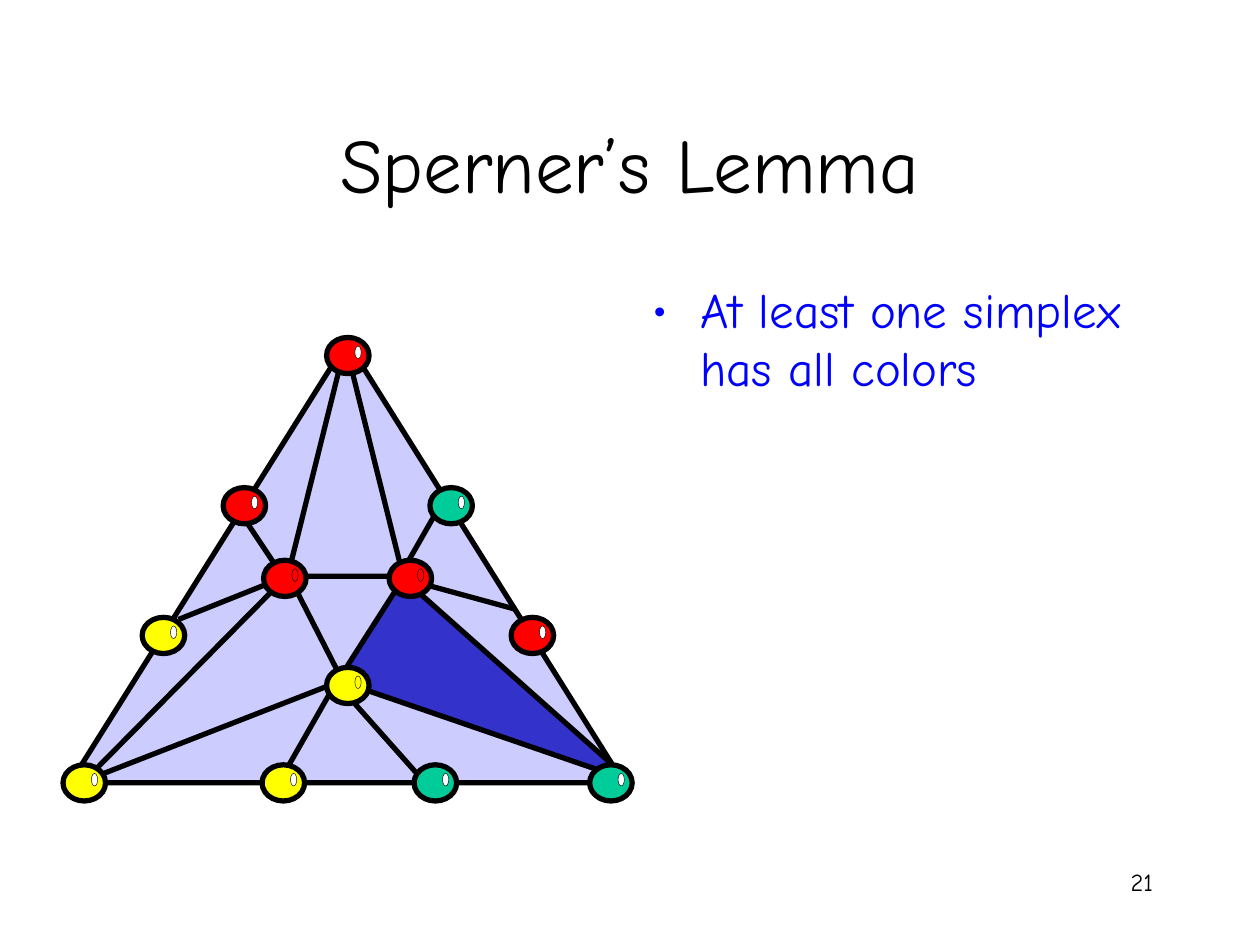
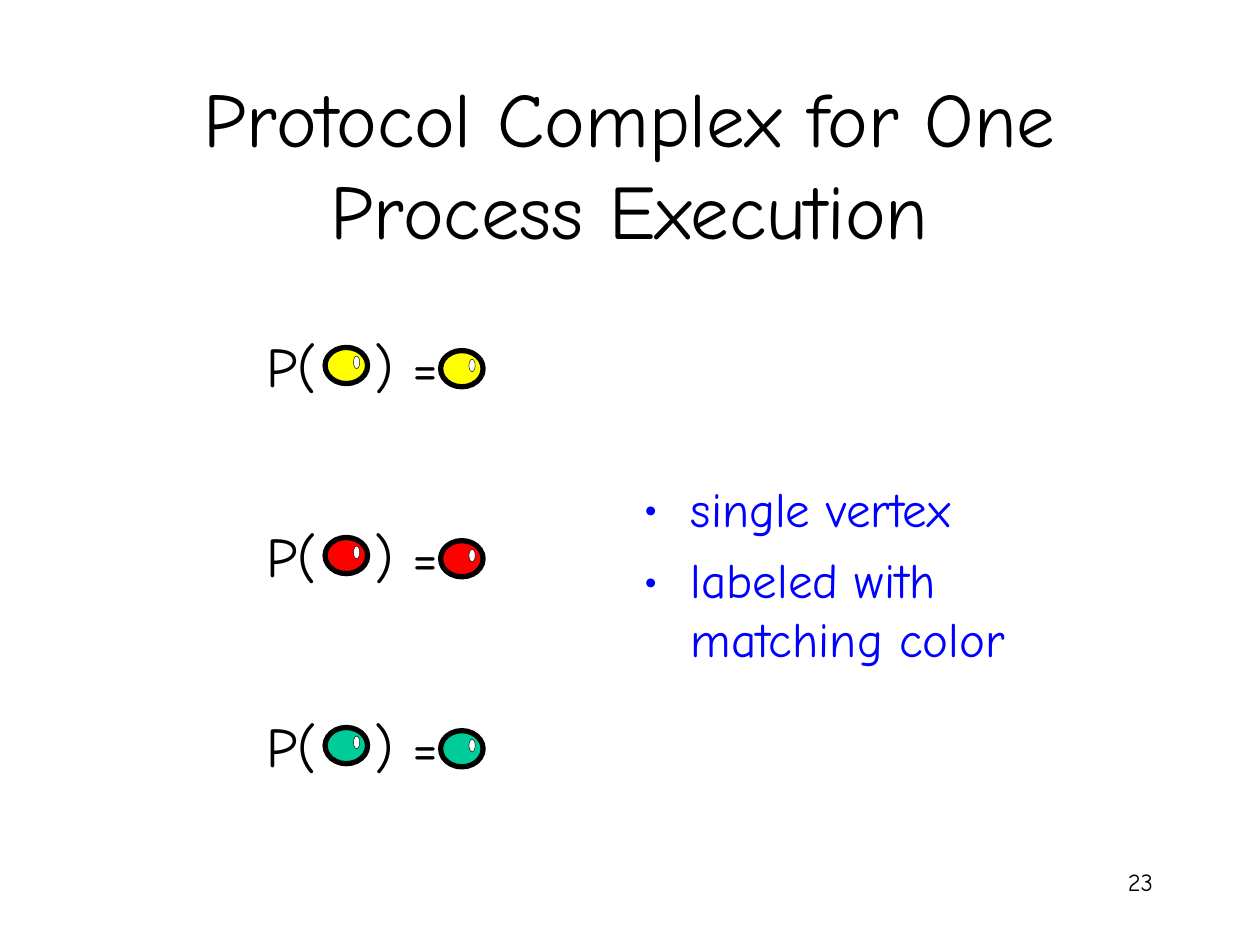
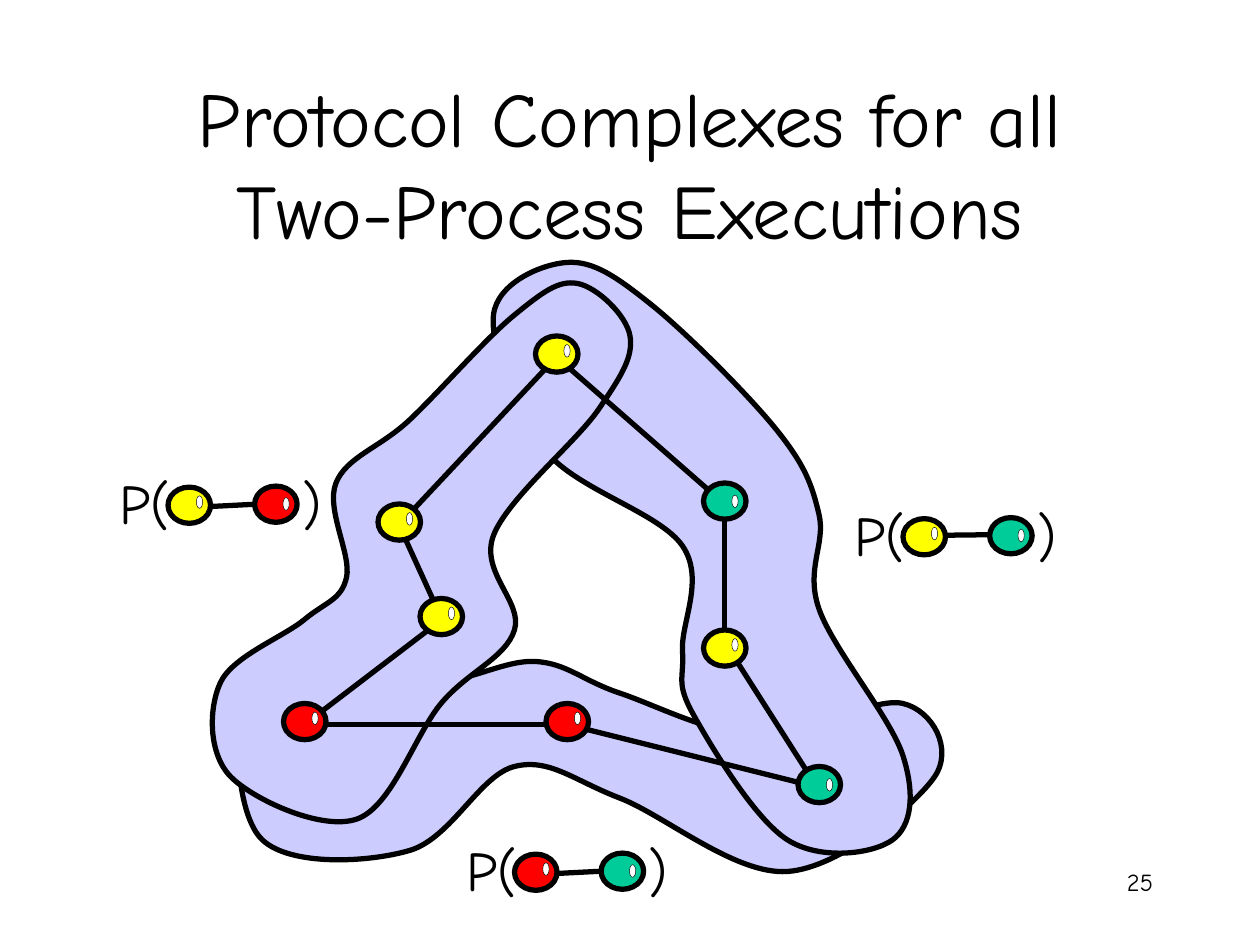
"""Build three slides on Sperner's lemma and protocol complexes."""
from dataclasses import dataclass
from typing import NamedTuple

from lxml import etree
from pptx import Presentation
from pptx.dml.color import RGBColor
from pptx.enum.shapes import MSO_CONNECTOR, MSO_SHAPE
from pptx.enum.text import MSO_ANCHOR, PP_ALIGN
from pptx.oxml.ns import qn
from pptx.util import Cm, Pt

ELLIPSE = MSO_SHAPE.OVAL
TRIANGLE = MSO_SHAPE.ISOSCELES_TRIANGLE
STRAIGHT = MSO_CONNECTOR.STRAIGHT
MIDDLE, TOP = MSO_ANCHOR.MIDDLE, MSO_ANCHOR.TOP
LEFT, CENTER, RIGHT = PP_ALIGN.LEFT, PP_ALIGN.CENTER, PP_ALIGN.RIGHT

CELL_CM = 2.54 / 12

Point = tuple[float, float]


@dataclass(frozen=True)
class Theme:
    """Colours, font and type sizes of the deck."""
    font: str = "Comic Neue"
    ink: str = "000000"
    bullet: str = "0000FF"
    pale: str = "CCCCFF"
    strong: str = "3333CC"
    white: str = "FFFFFF"
    red: str = "FF0000"
    yellow: str = "FFFF00"
    green: str = "00CC99"
    title_size: int = 44
    formula_size: int = 32
    body_size: int = 28
    number_size: int = 14
    stroke: float = 3
    hairline: float = 0.25


THEME = Theme()


class Frame(NamedTuple):
    """A rectangle in grid cells."""
    left: float
    top: float
    width: float
    height: float


class Vertex(NamedTuple):
    """A coloured ball with a small glint."""
    left: float
    top: float
    color: str
    glint: str = THEME.white
    glint_drop: float = 0.82


class Edge(NamedTuple):
    """A straight line between two grid points."""
    start: Point
    end: Point


class EdgeLabel(NamedTuple):
    """A formula around an edge between two processes."""
    left: float
    top: float
    first: str
    second: str
    edge_drop: float = 4.35


TITLE_FRAME = Frame(9, 8, 102, 15)
NUMBER_FRAME = Frame(86, 82, 25, 6)

INNER_TRIANGLES: list[tuple[list[Point], str | None]] = [
    ([(32.6, 64.8), (27.6, 55), (27.1, 55.1), (8, 74.4)], None),
    ([(38.4, 55.1), (32.2, 64.8), (60.1, 74.4)], THEME.strong),
    ([(27.4, 54.88), (38.4, 54.88), (32.9, 32.8)], None),
]
SIMPLEX_EDGES = [
    Edge((32, 65), (40, 74)), Edge((32, 65), (26.3, 75)),
    Edge((38, 55), (49, 58)), Edge((38, 55), (42, 48)),
    Edge((27, 55), (23, 49)), Edge((27, 55), (17, 59)),
]
SIMPLEX_VERTICES = [
    Vertex(56.16, 72.84, THEME.green),
    Vertex(39.44, 72.84, THEME.green),
    Vertex(24.96, 72.84, THEME.yellow),
    Vertex(6, 72.84, THEME.yellow),
    Vertex(48.68, 58.8, THEME.red),
    Vertex(13.54, 58.8, THEME.yellow),
    Vertex(31.1, 63.56, THEME.yellow, THEME.yellow),
    Vertex(37.06, 53.36, THEME.red, THEME.red),
    Vertex(25.1, 53.36, THEME.red, THEME.red),
    Vertex(31.1, 32.14, THEME.red),
    Vertex(40.94, 46.44, THEME.green),
    Vertex(21.25, 46.44, THEME.red),
]

BANDS: list[list[Point]] = [
    [(23, 66), (25, 80), (39, 81), (49, 73), (59, 76), (75, 83), (89, 74),
     (86, 67), (72, 70), (59, 66), (51, 63), (41, 65), (29, 63)],
    [(47, 30), (52, 43), (65, 52), (65, 62), (66, 68), (75, 80), (85, 80),
     (86, 72), (78, 58), (78, 49), (74, 41), (62, 29), (54, 25)],
    [(49, 30), (39, 40), (32, 46), (33, 55), (29, 59), (21, 65), (22, 74),
     (34, 78), (42, 67), (49, 60), (47, 51), (57, 39), (60, 32), (55, 27)],
]
COMPLEX_EDGES = [
    Edge((29, 69), (42.1, 59)), Edge((42.1, 59), (38, 50)),
    Edge((53, 34), (38, 50)), Edge((53, 34), (69, 48)),
    Edge((69, 48), (69, 61)), Edge((69.1, 61.3), (77.9, 75.1)),
    Edge((30, 69), (54, 69)), Edge((54, 69), (78, 75)),
]
COMPLEX_VERTICES = [
    Vertex(40, 57, THEME.yellow),
    Vertex(36, 48, THEME.yellow),
    Vertex(76, 73, THEME.green, glint_drop=1.15),
    Vertex(67, 46, THEME.green, glint_drop=1.15),
    Vertex(52, 67, THEME.red),
    Vertex(67, 60, THEME.yellow),
    Vertex(51, 32, THEME.yellow),
    Vertex(27, 67, THEME.red),
]
EDGE_LABELS = [
    EdgeLabel(7, 44, THEME.yellow, THEME.red),
    EdgeLabel(40, 78.95, THEME.red, THEME.green),
    EdgeLabel(77, 47, THEME.yellow, THEME.green, edge_drop=4),
]


def cells(count: float) -> Cm:
    """Turn grid cells into a length."""
    return Cm(count * CELL_CM)


def rgb(color: str) -> RGBColor:
    """Turn a hexadecimal colour into a colour object."""
    return RGBColor.from_string(color)


def paint(shape, fill: str | None, width: float = THEME.stroke) -> None:
    """Give a shape its fill and black outline, without a shadow."""
    shape.shadow.inherit = False
    if fill is None:
        shape.fill.background()
    else:
        shape.fill.solid()
        shape.fill.fore_color.rgb = rgb(fill)
    shape.line.color.rgb = rgb(THEME.ink)
    shape.line.width = Pt(width)


def add_preset(page, preset, frame: Frame, fill: str, width: float = THEME.stroke) -> None:
    """Draw a preset shape in a frame."""
    paint(page.shapes.add_shape(preset, *map(cells, frame)), fill, width)


def add_outline(page, points: list[Point], fill: str | None):
    """Draw a closed outline through grid points."""
    corners = [(cells(x), cells(y)) for x, y in points]
    builder = page.shapes.build_freeform(*corners[0])
    builder.add_line_segments(corners[1:], close=True)
    outline = builder.convert_to_shape()
    paint(outline, fill)
    return outline


def smooth_controls(knots: list[Point]) -> list[Point]:
    """List the Bezier points of a closed Catmull-Rom curve through the knots."""
    points = [knots[0]]
    count = len(knots)
    for index in range(count):
        before, start, end, after = (knots[(index + shift) % count] for shift in (-1, 0, 1, 2))
        leave = (start[0] + (end[0] - before[0]) / 6, start[1] + (end[1] - before[1]) / 6)
        arrive = (end[0] - (after[0] - start[0]) / 6, end[1] - (after[1] - start[1]) / 6)
        points += [leave, arrive, end]
    return points


def add_band(page, knots: list[Point]) -> None:
    """Draw a smooth closed band by grouping its segments into Bezier curves."""
    band = add_outline(page, smooth_controls(knots), THEME.pale)
    segments = list(band._element.iter(qn("a:lnTo")))
    for first in range(0, 3 * len(knots), 3):
        curve = etree.Element(qn("a:cubicBezTo"))
        segments[first].addprevious(curve)
        for segment in segments[first:first + 3]:
            curve.append(segment[0])
    for segment in segments:
        segment.getparent().remove(segment)


def add_edge(page, edge: Edge) -> None:
    """Draw a straight black line."""
    ends = map(cells, (*edge.start, *edge.end))
    line = page.shapes.add_connector(STRAIGHT, *ends)
    line.line.color.rgb = rgb(THEME.ink)
    line.line.width = Pt(THEME.stroke)
    etree.SubElement(line._element.spPr, qn("a:effectLst"))


def add_vertex(page, vertex: Vertex) -> None:
    """Draw a ball and its glint."""
    add_preset(page, ELLIPSE, Frame(vertex.left, vertex.top, 4.05, 3.45), vertex.color)
    glint = Frame(vertex.left + 2.7, vertex.top + vertex.glint_drop, 0.6, 1.2)
    add_preset(page, ELLIPSE, glint, vertex.glint, THEME.hairline)


def add_text(page, frame: Frame, lines: list[str], size: int, align,
             anchor=TOP, color: str = THEME.ink, bullets: bool = False,
             inset: float = 1.2, tab: float | None = None) -> None:
    """Write paragraphs in a text box, with bullets or a tab stop if asked."""
    text = page.shapes.add_textbox(*map(cells, frame)).text_frame
    text.word_wrap = True
    text.vertical_anchor = anchor
    text.margin_left = cells(inset)
    for index, line in enumerate(lines):
        para = text.add_paragraph() if index else text.paragraphs[0]
        para.text = line
        para.alignment = align
        if index:
            para.space_before = Pt(7)
        if bullets:
            add_bullet(para, color)
        if tab is not None:
            stops = etree.SubElement(para._p.get_or_add_pPr(), qn("a:tabLst"))
            etree.SubElement(stops, qn("a:tab"), pos=str(cells(tab)), algn="l")
        para.font.name = THEME.font
        para.font.size = Pt(size)
        para.font.color.rgb = rgb(color)


def add_bullet(para, color: str) -> None:
    """Give a paragraph a hanging round bullet."""
    props = para._p.get_or_add_pPr()
    props.set("marL", str(cells(4.5)))
    props.set("indent", str(cells(-4.5)))
    tint = etree.SubElement(props, qn("a:buClr"))
    etree.SubElement(tint, qn("a:srgbClr"), val=color)
    etree.SubElement(props, qn("a:buFont"), typeface=THEME.font)
    etree.SubElement(props, qn("a:buChar"), char="•")


def add_body(page, frame: Frame, lines: list[str]) -> None:
    """Write the blue bullet list."""
    add_text(page, frame, lines, THEME.body_size, LEFT, color=THEME.bullet, bullets=True)


def add_formula(page, frame: Frame, words: str, inset: float, tab: float) -> None:
    """Write a formula whose gap for balls is a tab stop."""
    add_text(page, frame, [words], THEME.formula_size, LEFT, MIDDLE, inset=inset, tab=tab)


def add_page(deck, title: str, number: int):
    """Add a blank slide with its title and page number."""
    page = deck.slides.add_slide(deck.slide_layouts[6])
    add_text(page, TITLE_FRAME, [title], THEME.title_size, CENTER, MIDDLE)
    add_text(page, NUMBER_FRAME, [str(number)], THEME.number_size, RIGHT)
    return page


def add_edge_label(page, label: EdgeLabel) -> None:
    """Draw a formula around two joined balls."""
    left, top = label.left, label.top
    add_formula(page, Frame(left, top, 28, 7.65), "P(\t)", inset=4.38, tab=17.4)
    add_edge(page, Edge((left + 19.75, top + 3.9), (left + 10.9, top + label.edge_drop)))
    add_vertex(page, Vertex(left + 9, top + 2.4, label.first))
    add_vertex(page, Vertex(left + 17.25, top + 2.3, label.second, glint_drop=1.1))


def build_sperner(deck) -> None:
    """Draw the subdivided triangle."""
    page = add_page(deck, "Sperner’s Lemma", 21)
    add_preset(page, TRIANGLE, Frame(6.7, 32.54, 52.7, 42), THEME.pale)
    for points, fill in INNER_TRIANGLES:
        add_outline(page, points, fill)
    add_body(page, Frame(61, 26, 50, 54), ["At least one simplex has all colors"])
    for edge in SIMPLEX_EDGES:
        add_edge(page, edge)
    for vertex in SIMPLEX_VERTICES:
        add_vertex(page, vertex)


def build_one_process(deck) -> None:
    """Draw one formula row for each process colour."""
    page = add_page(deck, "Protocol Complex for One Process Execution", 23)
    for row, color in enumerate((THEME.yellow, THEME.red, THEME.green)):
        top = 30.95 + 18.1 * row
        add_formula(page, Frame(23, top, 21, 7.65), "P(\t) =", inset=2.38, tab=10.3)
        add_vertex(page, Vertex(30.96, top + 2.14, color))
        add_vertex(page, Vertex(41.96, top + 2.44, color))
    add_body(page, Frame(60.1, 45, 50, 21), ["single vertex", "labeled with matching color"])


def build_two_processes(deck) -> None:
    """Draw the three overlapping bands and their labels."""
    page = add_page(deck, "Protocol Complexes for all Two-Process Executions", 25)
    for knots in BANDS:
        add_band(page, knots)
    for edge in COMPLEX_EDGES:
        add_edge(page, edge)
    for vertex in COMPLEX_VERTICES:
        add_vertex(page, vertex)
    for label in EDGE_LABELS:
        add_edge_label(page, label)


def main() -> None:
    """Build and save the deck."""
    deck = Presentation()
    deck.slide_width, deck.slide_height = Cm(25.4), Cm(19.05)
    build_sperner(deck)
    build_one_process(deck)
    build_two_processes(deck)
    deck.save("out.pptx")


if __name__ == "__main__":
    main()
